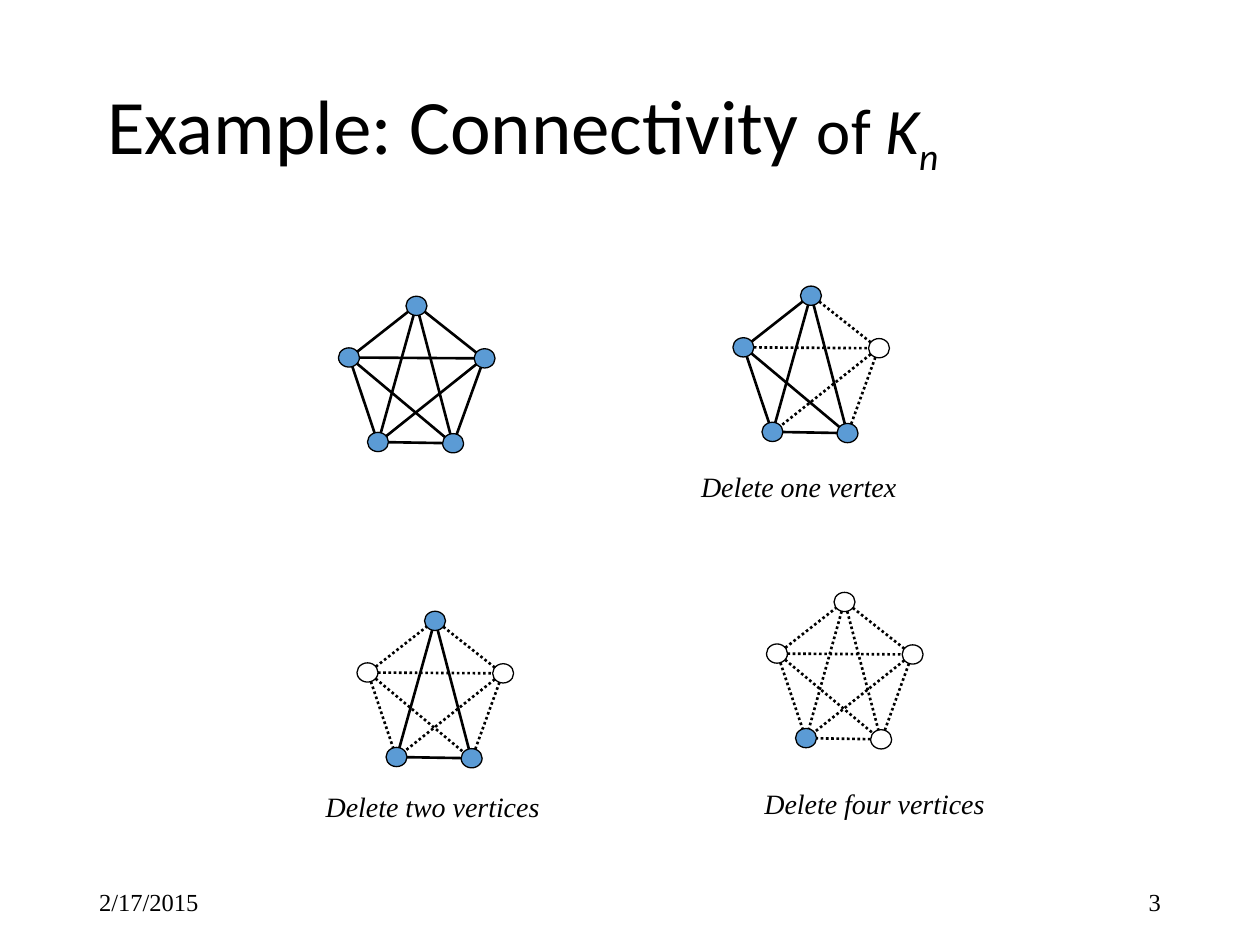
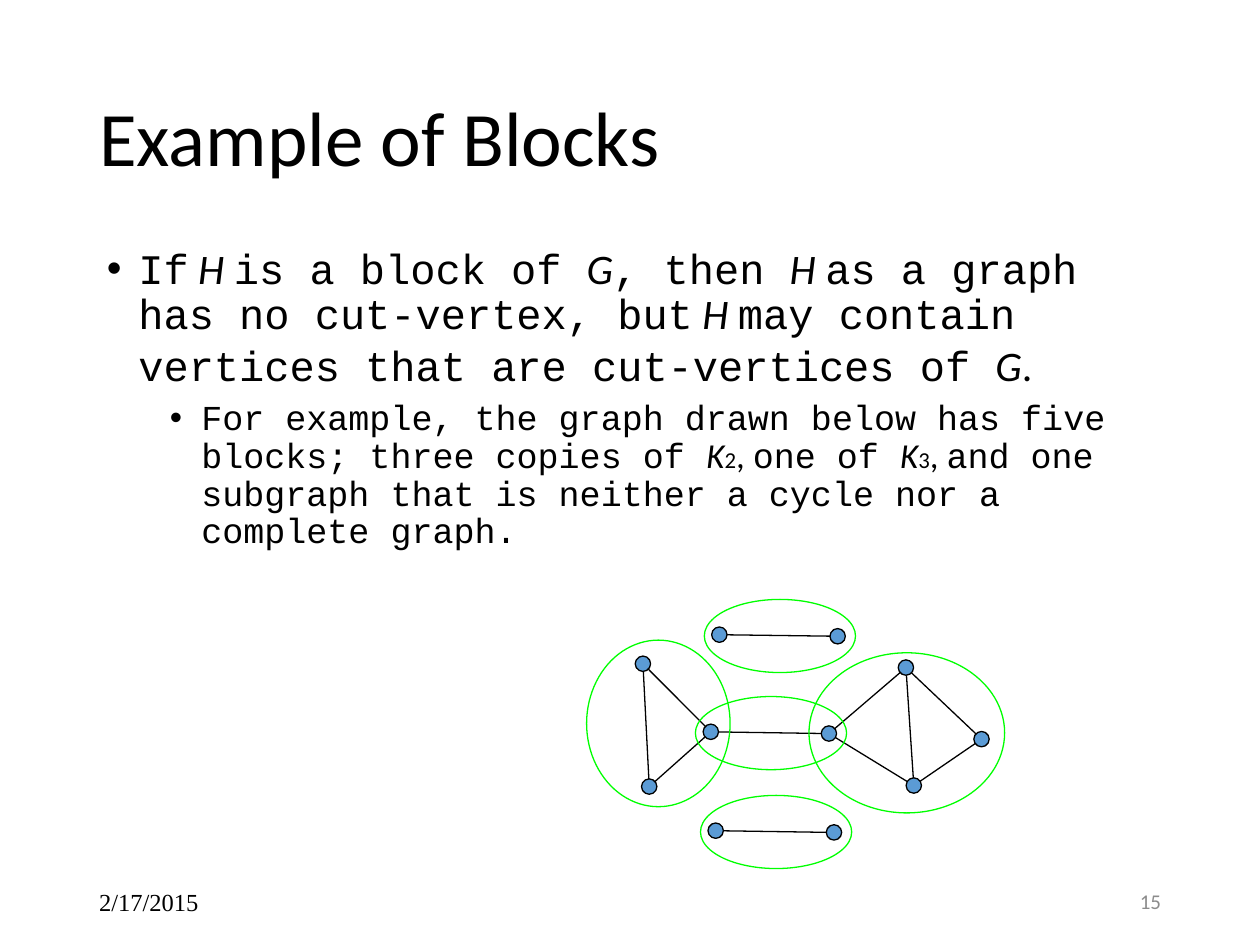
import math
from itertools import combinations
from lxml import etree
from pptx import Presentation
from pptx.dml.color import RGBColor
from pptx.enum import dml, shapes, text
from pptx.oxml.ns import qn
from pptx.util import Pt

BLACK, BLUE, GREEN, GREY = "000000", "5B9BD5", "00FF00", "8C8C8C"
SANS, SERIF, MONO = "Calibri", "Times New Roman", "Courier New"


def rgb(hex_color):
    return RGBColor.from_string(hex_color)


def add_run(p, content, size=24, font=SANS, color=BLACK, italic=False, base=None):
    r = p.add_run()
    r.text = content
    r.font.size, r.font.name, r.font.italic = Pt(size), font, italic
    r.font.color.rgb = rgb(color)
    if base:
        r._r.get_or_add_rPr().set("baseline", str(base * 1000))
    return r


class Deck:
    """Presentation, shared style and the current slide."""

    def __init__(self):
        self.prs = Presentation()
        self.prs.slide_width, self.prs.slide_height = Pt(720), Pt(540)

    def new_slide(self, number, **number_format):
        self.slide = self.prs.slides.add_slide(self.prs.slide_layouts[5])
        self.label("2/17/2015", 49.5, 500.5, 162, 29, size=14, font=SERIF, middle=True)
        self.label(number, 508.5, 500.5, 162, 29, middle=True,
                   align=text.PP_ALIGN.RIGHT, **number_format)

    def title(self, runs, x, y, w, h):
        sp = self.slide.shapes.title
        sp.left, sp.top, sp.width, sp.height = map(Pt, (x, y, w, h))
        tf = sp.text_frame
        tf.auto_size = text.MSO_AUTO_SIZE.NONE
        tf.vertical_anchor = text.MSO_ANCHOR.MIDDLE
        p = tf.paragraphs[0]
        p.alignment, p.line_spacing = text.PP_ALIGN.LEFT, 0.9
        for content, style in runs:
            add_run(p, content, **style)

    def text_box(self, x, y, w, h):
        tf = self.slide.shapes.add_textbox(*map(Pt, (x, y, w, h))).text_frame
        tf.word_wrap = True
        return tf

    def label(self, content, x, y, w, h, middle=False, align=text.PP_ALIGN.LEFT, **style):
        tf = self.text_box(x, y, w, h)
        if middle:
            tf.vertical_anchor = text.MSO_ANCHOR.MIDDLE
        tf.paragraphs[0].alignment = align
        add_run(tf.paragraphs[0], content, **style)

    def bullets(self, items, x, y, w, h):
        tf = self.text_box(x, y, w, h)
        for i, (level, indent, runs) in enumerate(items):
            p = tf.add_paragraph() if i else tf.paragraphs[0]
            p.level, p.line_spacing = level, 0.9
            if i:
                p.space_before = Pt(5)
            pPr = p._p.get_or_add_pPr()
            pPr.set("marL", str(Pt(indent)))
            pPr.set("indent", str(Pt(-18)))
            etree.SubElement(pPr, qn("a:buFont")).set("typeface", "Arial")
            etree.SubElement(pPr, qn("a:buChar")).set("char", "•")
            for content, style in runs:
                add_run(p, content, **style)

    def group(self):
        return self.slide.shapes.add_group_shape().shapes

    def ellipse(self, group, cx, cy, w, h, fill=None, line=BLACK):
        sp = group.add_shape(shapes.MSO_SHAPE.OVAL,
                             *map(Pt, (cx - w / 2, cy - h / 2, w, h)))
        sp.shadow.inherit = False
        if fill:
            sp.fill.solid()
            sp.fill.fore_color.rgb = rgb(fill)
        else:
            sp.fill.background()
        sp.line.color.rgb, sp.line.width = rgb(line), Pt(0.75)

    def edge(self, group, start, end, size, weight, dotted=False):
        """Line between two vertices, cut off at their outlines."""
        dx, dy = end[0] - start[0], end[1] - start[1]
        dist = math.hypot(dx, dy)
        ox, oy = size[0] / 2 * dx / dist, size[1] / 2 * dy / dist
        ends = start[0] + ox, start[1] + oy, end[0] - ox, end[1] - oy
        cn = group.add_connector(shapes.MSO_CONNECTOR.STRAIGHT, *map(Pt, ends))
        cn.line.color.rgb, cn.line.width = rgb(BLACK), Pt(weight)
        if dotted:
            cn.line.dash_style = dml.MSO_LINE.ROUND_DOT
        etree.SubElement(cn._element.spPr, qn("a:effectLst"))

    def graph(self, group, vertices, edges, size, weight, kept=None):
        """Vertices by name; deleted ones are hollow and their edges dotted."""
        kept = vertices if kept is None else kept
        for name, (x, y) in vertices.items():
            self.ellipse(group, x, y, *size, fill=BLUE if name in kept else None)
        for a, b in edges:
            self.edge(group, vertices[a], vertices[b], size, weight,
                      dotted=not (a in kept and b in kept))


def connectivity_slide(deck):
    deck.new_slide("3", size=14, font=SERIF)
    deck.title([("Example: Connectivity ", dict(size=44)), ("of ", dict(size=37)),
                ("K", dict(size=37, italic=True)),
                ("n", dict(size=37, italic=True, base=-25))], 54, 39, 612, 67.5)

    # K5 vertices relative to the top one: left, top, right, lower right, lower left
    pentagon = {"L": (-38.6, 29.5), "T": (0, 0), "R": (38.9, 30),
                "r": (20.9, 78.5), "l": (-22, 77.8)}
    stages = [(238, 174.8, "LTRrl"), (463.4, 169, "LTrl"),
              (482.6, 344, "l"), (248.6, 354.8, "Trl")]
    for x, y, kept in stages:
        vertices = {n: (x + dx, y + dy) for n, (dx, dy) in pentagon.items()}
        deck.graph(deck.group(), vertices, combinations(pentagon, 2),
                   (12, 11), 1.5, kept)

    # Captions
    for caption, x, y, w in [("Delete four vertices", 429.8, 445.7, 168.5),
                             ("Delete one vertex", 393.5, 264.5, 137.5),
                             ("Delete two vertices", 179, 447.8, 137.5)]:
        deck.label(caption, x, y, w, 26.5, size=16, font=SERIF, italic=True)


def blocks_slide(deck):
    deck.new_slide("15", size=12, color=GREY)
    deck.title([("Example of Blocks", dict(size=44))], 49.5, 28.8, 621, 104.4)

    # Body text
    code, var = dict(font=MONO), dict(italic=True)
    code2, var2 = dict(size=20, font=MONO), dict(size=20, italic=True)
    plain2, index = dict(size=20), dict(size=13)
    deck.bullets([
        (0, 18, [("If", code), (" H ", var), ("is a block of ", code), ("G", var),
                 (", then ", code), ("H ", var),
                 ("as a graph has no cut-vertex, but", code), (" H ", var),
                 ("may contain vertices that are cut-vertices of ", code),
                 ("G", var), (".", {}), (" ", dict(size=28))]),
        (1, 54, [("For example, the graph drawn below has five blocks; "
                  "three copies of ", code2), ("K", var2), ("2", index),
                 (", ", plain2), ("one of ", code2), ("K", var2), ("3", index),
                 (", ", plain2),
                 ("and one subgraph that is neither a cycle nor a complete graph.",
                  code2)]),
    ], 54, 138.2, 612, 199.4)

    # Graph with its cut-vertices b and d, and two separate edges
    vertices = {"a": (367.4, 379.3), "b": (406.2, 418.2), "c": (371, 449.5),
                "d": (473.7, 419.2), "e": (517.7, 381.5), "f": (522.2, 448.9),
                "g": (560.9, 422.4), "h": (411.1, 362.7), "i": (478.7, 363.6),
                "j": (409, 474.7), "k": (476.6, 475.7)}
    edges = "ab cb ac bd df de eg gf ef hi jk".split()
    group = deck.group()
    deck.graph(group, vertices, edges, (8.8, 8.8), 0.75)

    # Block outlines
    link = (86.4, 41.8)
    for cx, cy, w, h in [(440.6, 418.9, *link), (445.7, 363.4, *link),
                         (443.5, 475.4, *link), (518.2, 418.8, 111.8, 91.5),
                         (376.2, 413.4, 82, 95.2)]:
        deck.ellipse(group, cx, cy, w, h, line=GREEN)


def main():
    deck = Deck()
    connectivity_slide(deck)
    blocks_slide(deck)
    deck.prs.save("out.pptx")


if __name__ == "__main__":
    main()
